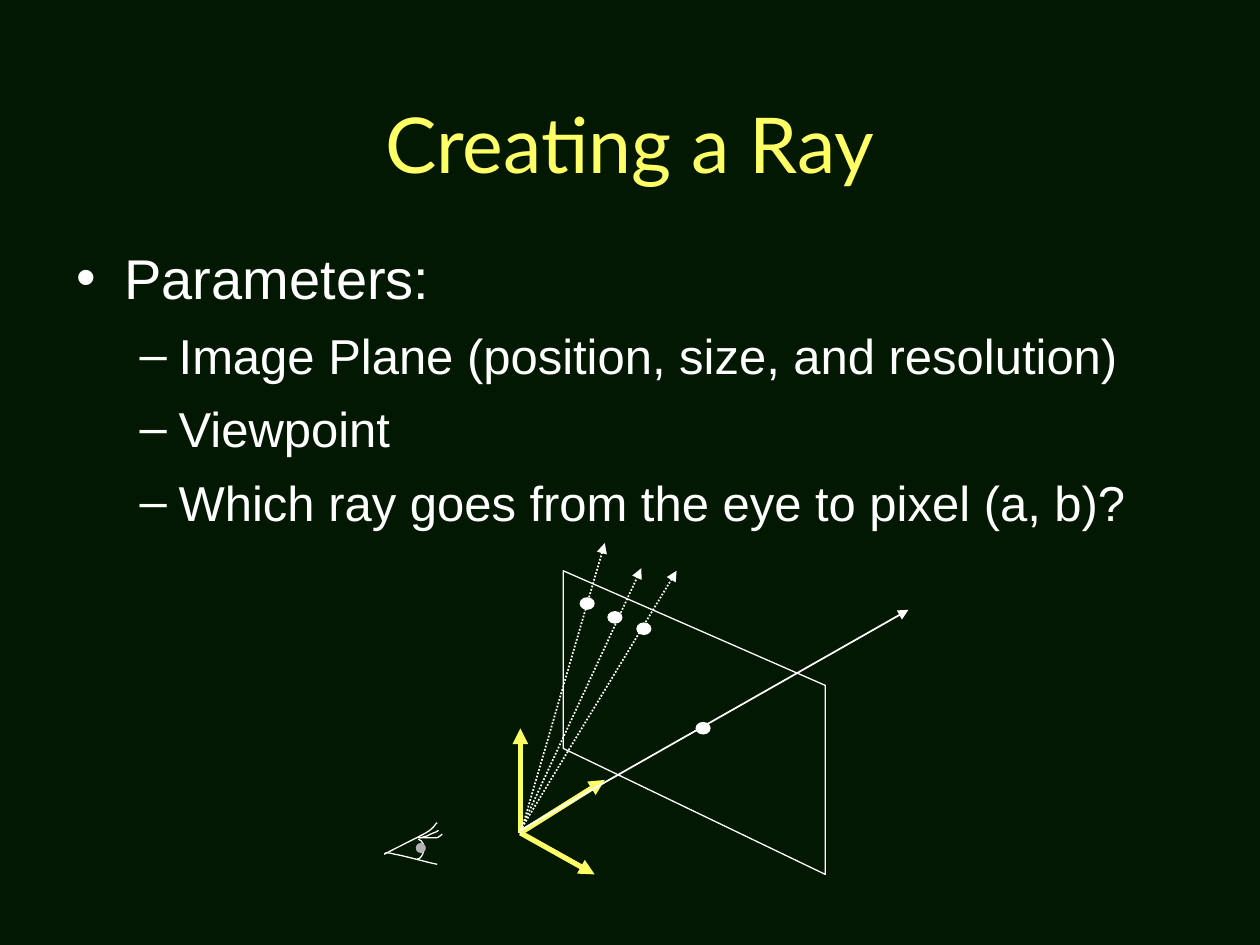
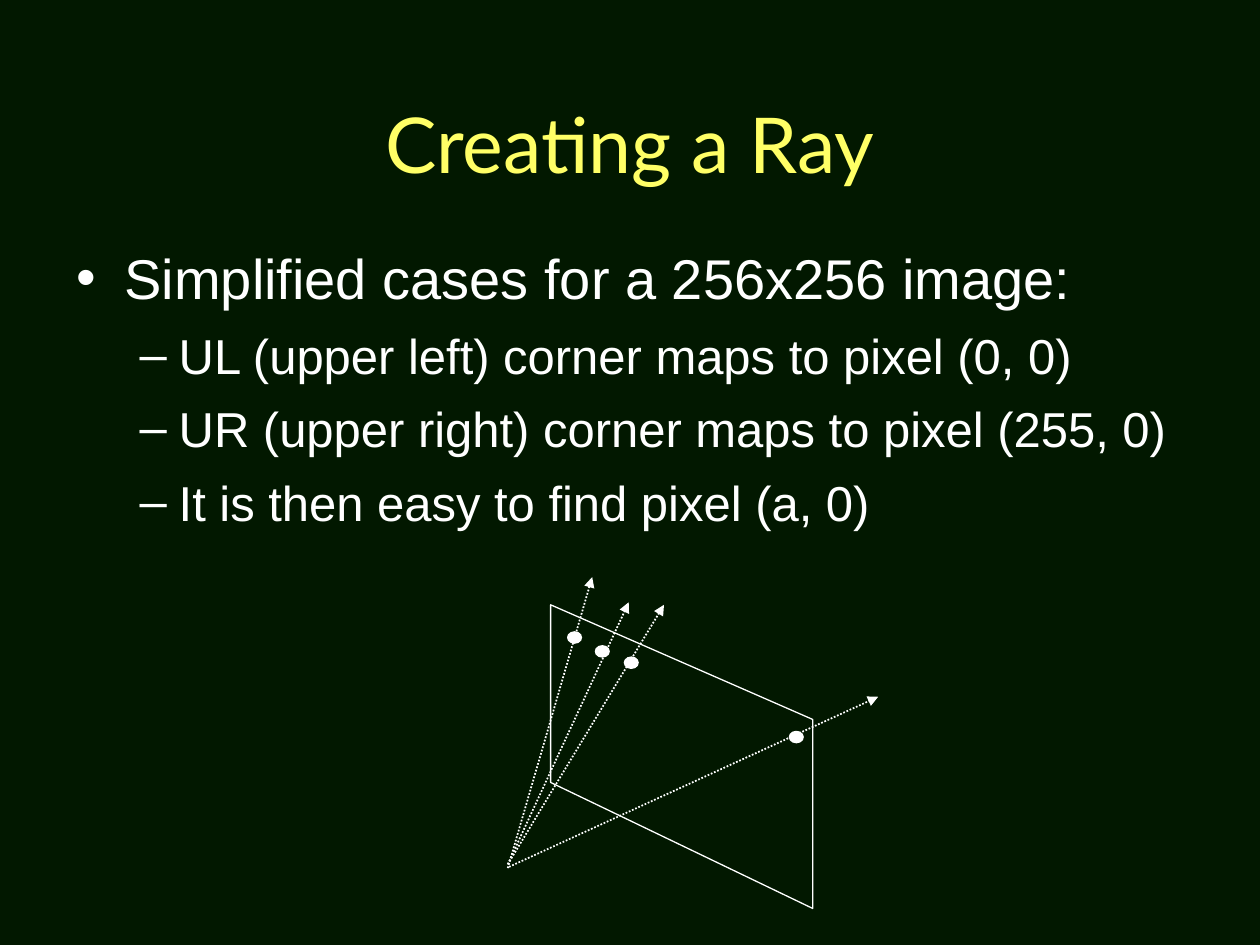
"""Build two slides on creating a ray through an image plane."""
from dataclasses import dataclass

from lxml import etree
from pptx import Presentation
from pptx.dml.color import RGBColor
from pptx.enum.dml import MSO_LINE
from pptx.enum.shapes import MSO_CONNECTOR, MSO_SHAPE
from pptx.enum.text import MSO_ANCHOR, PP_ALIGN
from pptx.oxml.ns import qn
from pptx.util import Inches, Pt

STRAIGHT = MSO_CONNECTOR.STRAIGHT
OVAL = MSO_SHAPE.OVAL
DOTTED = MSO_LINE.ROUND_DOT
MIDDLE, TOP = MSO_ANCHOR.MIDDLE, MSO_ANCHOR.TOP
CENTER, LEFT = PP_ALIGN.CENTER, PP_ALIGN.LEFT


@dataclass(frozen=True)
class Theme:
    """Colours, fonts, type sizes and line widths."""
    background: str = "021800"
    accent: str = "FFFF66"
    ink: str = "FFFFFF"
    pupil: str = "B2B2B2"
    title_font: str = "Lato"
    body_font: str = "Arial"
    title_size: int = 44
    body_sizes: tuple = (32, 28)
    outline: float = 0.75
    ray: float = 1
    axis: float = 3


LEVELS = (
    {"bullet": "•", "margin": 0.38, "indent": -0.38, "before": 0},
    {"bullet": "–", "margin": 0.81, "indent": -0.31, "before": 8.4},
)
AXIS_ORIGIN = (4.13, 6.61)
AXIS_TIPS = ((4.8, 6.19), (4.13, 5.78), (4.72, 6.94))
EYE_CURVES = (
    ((3.05, 6.78), (3.18, 6.71), (3.31, 6.65), (3.38, 6.61),
     (3.45, 6.57), (3.45, 6.54), (3.47, 6.53)),
    ((3.05, 6.78), (3.06, 6.77), (3.06, 6.76), (3.13, 6.78),
     (3.2, 6.79), (3.41, 6.85), (3.47, 6.86)),
    ((3.32, 6.66), (3.4, 6.69), (3.36, 6.82), (3.31, 6.82)),
    ((3.32, 6.65), (3.37, 6.65), (3.42, 6.65), (3.46, 6.65),
     (3.48, 6.65), (3.51, 6.62), (3.51, 6.62)),
    ((3.33, 6.65), (3.38, 6.64), (3.34, 6.65), (3.37, 6.64),
     (3.38, 6.64), (3.4, 6.63), (3.4, 6.63),
     (3.43, 6.61), (3.46, 6.61), (3.48, 6.59)),
)
PUPIL = (3.3, 6.69)
PLANE = ((4.47, 4.53), (6.55, 5.44), (6.55, 6.94), (4.47, 5.94))
PIXEL_RAYS = (
    ((4.13, 6.62), (4.8, 4.31), (4.6, 4.74)),
    ((4.13, 6.59), (5.09, 4.51), (4.82, 4.85)),
    ((4.13, 6.59), (5.37, 4.53), (5.05, 4.94)),
)
CENTER_RAY = ((4.13, 6.59), (7.21, 4.84), (5.52, 5.73))
CORNER_RAY = ((4.04, 6.88), (6.97, 5.53), (6.26, 5.8))
PLANE_SHIFT = (-0.1, 0.27)


def shifted(points, offset):
    """Return the points moved by an offset."""
    return [(x + offset[0], y + offset[1]) for x, y in points]


def curve_points(controls, steps=8):
    """Sample a chain of cubic curves."""
    points = [controls[0]]
    for first in range(0, len(controls) - 1, 3):
        segment = controls[first:first + 4]
        for step in range(1, steps + 1):
            t = step / steps
            weights = ((1 - t) ** 3, 3 * t * (1 - t) ** 2, 3 * t * t * (1 - t), t ** 3)
            points.append(tuple(sum(w * point[axis] for w, point in zip(weights, segment))
                                for axis in (0, 1)))
    return points


def assign(target, values):
    """Set attributes from a dict of format values."""
    for name, value in values.items():
        setattr(target, name, value)


class Painter:
    """Hold the theme and the current slide and draw its elements."""

    def __init__(self, deck, theme):
        """Keep the deck and the theme."""
        self.deck, self.theme, self.page = deck, theme, None

    def new_page(self, title, lines):
        """Start a slide with its title and bullet list."""
        self.page = self.deck.slides.add_slide(self.deck.slide_layouts[6])
        fill = self.page.background.fill
        fill.solid()
        fill.fore_color.rgb = RGBColor.from_string(self.theme.background)
        self.title(title)
        self.bullets(lines)

    def text_frame(self, left, top, width, height, **values):
        """Add a wrapping text box and return its frame."""
        box = self.page.shapes.add_textbox(
            Inches(left), Inches(top), Inches(width), Inches(height))
        assign(box.text_frame, {"word_wrap": True, **values})
        return box.text_frame

    def span(self, para, text, font, size, color):
        """Add a formatted run."""
        span = para.add_run()
        span.text = text
        assign(span.font, {"name": font, "size": Pt(size)})
        span.font.color.rgb = RGBColor.from_string(color)

    def title(self, text):
        """Add the centred title."""
        frame = self.text_frame(0.75, 0.67, 8.5, 0.92, vertical_anchor=MIDDLE)
        para = frame.paragraphs[0]
        para.alignment = CENTER
        self.span(para, text, self.theme.title_font, self.theme.title_size, self.theme.accent)

    def bullets(self, lines):
        """Add a heading bullet followed by dashed items."""
        frame = self.text_frame(0.51, 1.83, 8.98, 4.83,
                                vertical_anchor=TOP, margin_top=Inches(0.1))
        for index, text in enumerate(lines):
            rank = min(index, 1)
            level = LEVELS[rank]
            para = frame.add_paragraph() if index else frame.paragraphs[0]
            props = para._p.get_or_add_pPr()
            props.set("marL", str(Inches(level["margin"])))
            props.set("indent", str(Inches(level["indent"])))
            tint = etree.SubElement(props, qn("a:buClr"))
            etree.SubElement(tint, qn("a:srgbClr"), val=self.theme.ink)
            etree.SubElement(props, qn("a:buFont"), typeface=self.theme.body_font)
            etree.SubElement(props, qn("a:buChar"), char=level["bullet"])
            assign(para, {"level": rank, "alignment": LEFT,
                          "space_before": Pt(level["before"])})
            self.span(para, text, self.theme.body_font,
                      self.theme.body_sizes[rank], self.theme.ink)

    def arrow(self, start, tip, color, width, dash=None):
        """Add a straight arrow from start to tip."""
        ends = [Inches(value) for value in (*start, *tip)]
        connector = self.page.shapes.add_connector(STRAIGHT, *ends)
        connector.line.color.rgb = RGBColor.from_string(color)
        assign(connector.line, {"width": Pt(width), "dash_style": dash})
        props = connector._element.spPr
        etree.SubElement(props.find(qn("a:ln")), qn("a:tailEnd"), type="triangle")
        etree.SubElement(props, qn("a:effectLst"))

    def outline(self, points, close=False):
        """Add an unfilled outline through the points."""
        corners = [(Inches(x), Inches(y)) for x, y in points]
        builder = self.page.shapes.build_freeform(*corners[0])
        builder.add_line_segments(corners[1:], close=close)
        shape = builder.convert_to_shape()
        shape.shadow.inherit = False
        shape.fill.background()
        shape.line.color.rgb = RGBColor.from_string(self.theme.ink)
        shape.line.width = Pt(self.theme.outline)

    def dot(self, corner, color, width=0.12, height=0.1):
        """Add a filled dot without an outline."""
        shape = self.page.shapes.add_shape(
            OVAL, Inches(corner[0]), Inches(corner[1]), Inches(width), Inches(height))
        shape.shadow.inherit = False
        shape.fill.solid()
        shape.fill.fore_color.rgb = RGBColor.from_string(color)
        shape.line.fill.background()

    def axes(self):
        """Add the three axes at the viewpoint."""
        for tip in AXIS_TIPS:
            self.arrow(AXIS_ORIGIN, tip, self.theme.accent, self.theme.axis)

    def eye(self):
        """Add the eye symbol."""
        for controls in EYE_CURVES:
            self.outline(curve_points(controls))
        self.dot(PUPIL, self.theme.pupil, 0.08, 0.08)

    def ray(self, points, dash=DOTTED):
        """Add a ray and the pixel it passes through."""
        origin, tip, pixel = points
        self.arrow(origin, tip, self.theme.ink, self.theme.ray, dash)
        self.dot(pixel, self.theme.ink)

    def image_plane(self, offset=(0, 0)):
        """Add the image plane with its first pixel rays."""
        self.outline(shifted(PLANE, offset), close=True)
        for points in PIXEL_RAYS:
            self.ray(shifted(points, offset))


def main():
    """Build and save the deck."""
    deck = Presentation()
    assign(deck, {"slide_width": Inches(10), "slide_height": Inches(7.5)})
    painter = Painter(deck, Theme())

    painter.new_page("Creating a Ray", (
        "Parameters:",
        "Image Plane (position, size, and resolution)",
        "Viewpoint",
        "Which ray goes from the eye to pixel (a, b)?",
    ))
    painter.axes()
    painter.eye()
    painter.image_plane()
    painter.ray(CENTER_RAY, dash=None)

    painter.new_page("Creating a Ray", (
        "Simplified cases for a 256x256 image:",
        "UL (upper left) corner maps to pixel (0, 0)",
        "UR (upper right) corner maps to pixel (255, 0)",
        "It is then easy to find pixel (a, 0)",
    ))
    painter.image_plane(PLANE_SHIFT)
    painter.ray(CORNER_RAY)

    deck.save("out.pptx")


if __name__ == "__main__":
    main()
